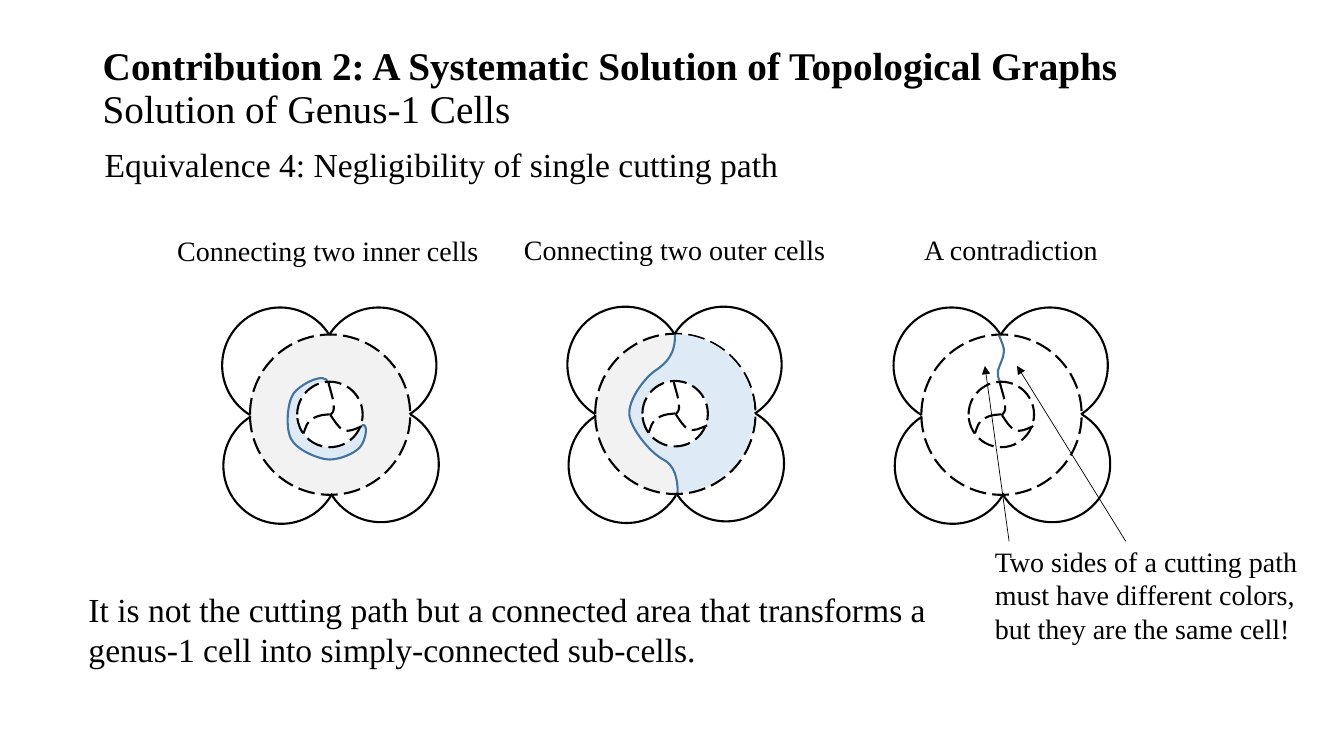
from dataclasses import dataclass

from lxml import etree
from pptx import Presentation
from pptx.dml.color import RGBColor
from pptx.enum.dml import MSO_LINE
from pptx.enum.shapes import MSO_CONNECTOR, MSO_SHAPE
from pptx.enum.text import MSO_ANCHOR, MSO_AUTO_SIZE, PP_ALIGN
from pptx.oxml.ns import qn
from pptx.util import Cm, Pt

DASHED = MSO_LINE.LONG_DASH
ELLIPSE, ARC, PIE = MSO_SHAPE.OVAL, MSO_SHAPE.ARC, MSO_SHAPE.PIE
STRAIGHT = MSO_CONNECTOR.STRAIGHT
TOP, MIDDLE = MSO_ANCHOR.TOP, MSO_ANCHOR.MIDDLE
FIT_SHAPE, FIXED = MSO_AUTO_SIZE.SHAPE_TO_FIT_TEXT, MSO_AUTO_SIZE.NONE
LEFT, CENTER = PP_ALIGN.LEFT, PP_ALIGN.CENTER
ANGLE_UNIT = 0.6

RING, HOLE, LOBE, HALF = 4.04, 1.65, 2.92, 3.94
HOLE_OFFSET = 1.19
LOBES = [
    (1.78, -0.68, 211.7, 57.6),
    (-0.7, -0.68, 121.3, 326.82),
    (-0.67, 1.85, 31.33, 236.65),
    (1.84, 1.81, 300.94, 149.46),
]
CRACKS = [
    [(1.98, 1.22), (2.03, 1.42), (2.11, 1.65), (2.11, 1.78),
     (2.13, 1.93), (2.08, 1.98), (2.03, 2.03)],
    [(2.01, 2.01), (1.88, 2.03), (1.78, 2.01), (1.6, 2.11),
     (1.42, 2.21), (1.42, 2.31), (1.35, 2.49)],
    [(2.03, 2.03), (2.13, 2.18), (2.24, 2.36), (2.36, 2.41),
     (2.49, 2.46), (2.64, 2.39), (2.82, 2.31)],
]
INNER_CUT = [
    (1.98, 1.22), (1.9, 0.91), (1.24, 1.27), (1.09, 1.5),
    (0.94, 1.73), (0.89, 2.36), (1.04, 2.64),
    (1.19, 2.92), (1.75, 3.15), (2.01, 3.15),
    (2.26, 3.15), (2.64, 3.0), (2.77, 2.84),
    (2.92, 2.69), (3.0, 2.21), (2.82, 2.29),
]
OUTER_CUT = [
    (2.01, 0), (2.03, 0.51), (1.8, 0.74), (1.5, 0.94),
    (1.19, 1.17), (0.84, 1.68), (0.86, 2.03),
    (0.89, 2.39), (1.37, 2.97), (1.68, 3.15),
    (2.01, 3.3), (2.08, 3.66), (2.08, 4.01),
]
CROSSING_CUT = [
    (1.96, 0.03), (2.06, 0.28), (2.08, 0.3), (2.08, 0.43),
    (2.08, 0.58), (1.96, 0.79), (1.93, 0.91),
    (1.93, 1.04), (1.93, 1.09), (1.98, 1.19),
]


@dataclass(frozen=True)
class Theme:
    font: str = "Times New Roman"
    ink: str = "000000"
    paper: str = "FFFFFF"
    cell: str = "F2F2F2"
    area: str = "DEEBF7"
    cut: str = "43739E"
    title: int = 28
    body: int = 24
    label: int = 20
    outline: float = 1.5
    half_outline: float = 1
    pointer: float = 0.5


class CellSlide:
    def __init__(self, slide, theme):
        self.shapes = slide.shapes
        self.theme = theme

    def text(self, box, lines, size, align=LEFT, wrap=True, anchor=TOP,
             fit=FIT_SHAPE, spacing=1.0):
        frame = self.shapes.add_textbox(*map(Cm, box)).text_frame
        frame.word_wrap = wrap
        frame.auto_size = fit
        frame.vertical_anchor = anchor
        paragraph = frame.paragraphs[0]
        paragraph.alignment = align
        paragraph.line_spacing = spacing
        for index, (words, bold) in enumerate(lines):
            if index:
                paragraph.add_line_break()
            run = paragraph.add_run()
            run.text = words
            run.font.name = self.theme.font
            run.font.size = Pt(size)
            run.font.bold = bold
            run.font.color.rgb = RGBColor.from_string(self.theme.ink)

    def paint(self, shape, fill, line, width, dash=None):
        shape.shadow.inherit = False
        if fill:
            shape.fill.solid()
            shape.fill.fore_color.rgb = RGBColor.from_string(fill)
        else:
            shape.fill.background()
        shape.line.color.rgb = RGBColor.from_string(line)
        shape.line.width = Pt(width)
        if dash:
            shape.line.dash_style = dash

    def circle(self, x, y, size, fill=None):
        disc = self.shapes.add_shape(ELLIPSE, Cm(x), Cm(y), Cm(size), Cm(size))
        self.paint(disc, fill, self.theme.ink, self.theme.outline, DASHED)

    def sector(self, kind, x, y, size, angles, fill, line, width, turn=0):
        sector = self.shapes.add_shape(kind, Cm(x), Cm(y), Cm(size), Cm(size))
        for index, angle in enumerate(angles):
            sector.adjustments[index] = angle * ANGLE_UNIT
        sector.rotation = turn
        self.paint(sector, fill, line, width)

    def curve(self, x, y, points, line, fill=None, dash=None):
        start, *rest = [(Cm(x + dx), Cm(y + dy)) for dx, dy in points]
        builder = self.shapes.build_freeform(*start)
        builder.add_line_segments(rest, close=False)
        curve = builder.convert_to_shape()
        outline = next(curve._element.iter(qn("a:path")))
        segments = outline.findall(qn("a:lnTo"))
        for first in range(0, len(segments), 3):
            bezier = etree.SubElement(outline, qn("a:cubicBezTo"))
            for segment in segments[first:first + 3]:
                bezier.append(segment[0])
                outline.remove(segment)
        self.paint(curve, fill, line, self.theme.outline, dash)

    def arrow(self, start, end):
        arrow = self.shapes.add_connector(STRAIGHT, *map(Cm, start + end))
        arrow.line.color.rgb = RGBColor.from_string(self.theme.ink)
        arrow.line.width = Pt(self.theme.pointer)
        properties = arrow._element.spPr
        etree.SubElement(properties.find(qn("a:ln")), qn("a:tailEnd"), type="triangle")
        etree.SubElement(properties, qn("a:effectLst"))

    def flower(self, x, y, cut, ring_fill=None, area=None, hole_fill=None, split=False):
        theme = self.theme
        self.circle(x, y, RING, ring_fill)
        if split:
            self.sector(PIE, x + 0.05, y + 0.03, HALF, (93.37, 270.54),
                        theme.area, theme.area, theme.half_outline, 176.9)
        self.curve(x, y, cut, theme.cut, area)
        self.circle(x + HOLE_OFFSET, y + HOLE_OFFSET, HOLE, hole_fill)
        for dx, dy, *angles in LOBES:
            self.sector(ARC, x + dx, y + dy, LOBE, angles, None, theme.ink, theme.outline)
        for crack in CRACKS:
            self.curve(x, y, crack, theme.ink, dash=DASHED)


def main():
    deck = Presentation()
    deck.slide_width, deck.slide_height = Cm(33.87), Cm(19.05)
    theme = Theme()
    page = CellSlide(deck.slides.add_slide(deck.slide_layouts[6]), theme)

    page.text((2.34, 1.02, 29.21, 2.46),
              [("Contribution 2: A Systematic Solution of Topological Graphs", True),
               ("Solution of Genus-1 Cells", False)],
              theme.title, anchor=MIDDLE, fit=FIXED, spacing=0.9)
    page.text((2.39, 3.61, 26.52, 1.52),
              [("Equivalence 4: Negligibility of single cutting path", False)],
              theme.body, fit=FIXED, spacing=0.9)

    page.text((4.19, 5.77, 8.15, 1.12), [("Connecting two inner cells", False)],
              theme.label, CENTER, wrap=False)
    page.text((12.93, 5.74, 8.15, 1.12), [("Connecting two outer cells", False)],
              theme.label, CENTER, wrap=False)
    page.text((23.04, 5.74, 5.33, 1.12), [("A contradiction", False)], theme.label)

    page.flower(6.3, 8.43, INNER_CUT, theme.cell, theme.area, theme.paper)
    page.flower(15, 8.41, OUTER_CUT, theme.cell, theme.area, theme.paper, split=True)
    page.flower(23.22, 8.43, CROSSING_CUT)

    page.text((1.98, 14.71, 21.82, 2.31),
              [("It is not the cutting path but a connected area that transforms a "
                "genus-1 cell into simply-connected sub-cells.", False)], theme.body)
    page.text((24.82, 13.59, 8.66, 2.82),
              [("Two sides of a cutting path must have different colors, "
                "but they are the same cell!", False)], theme.label)
    page.arrow((25.43, 13.64), (24.82, 9.22))
    page.arrow((28.37, 13.64), (25.63, 9.22))

    deck.save("out.pptx")


if __name__ == "__main__":
    main()
